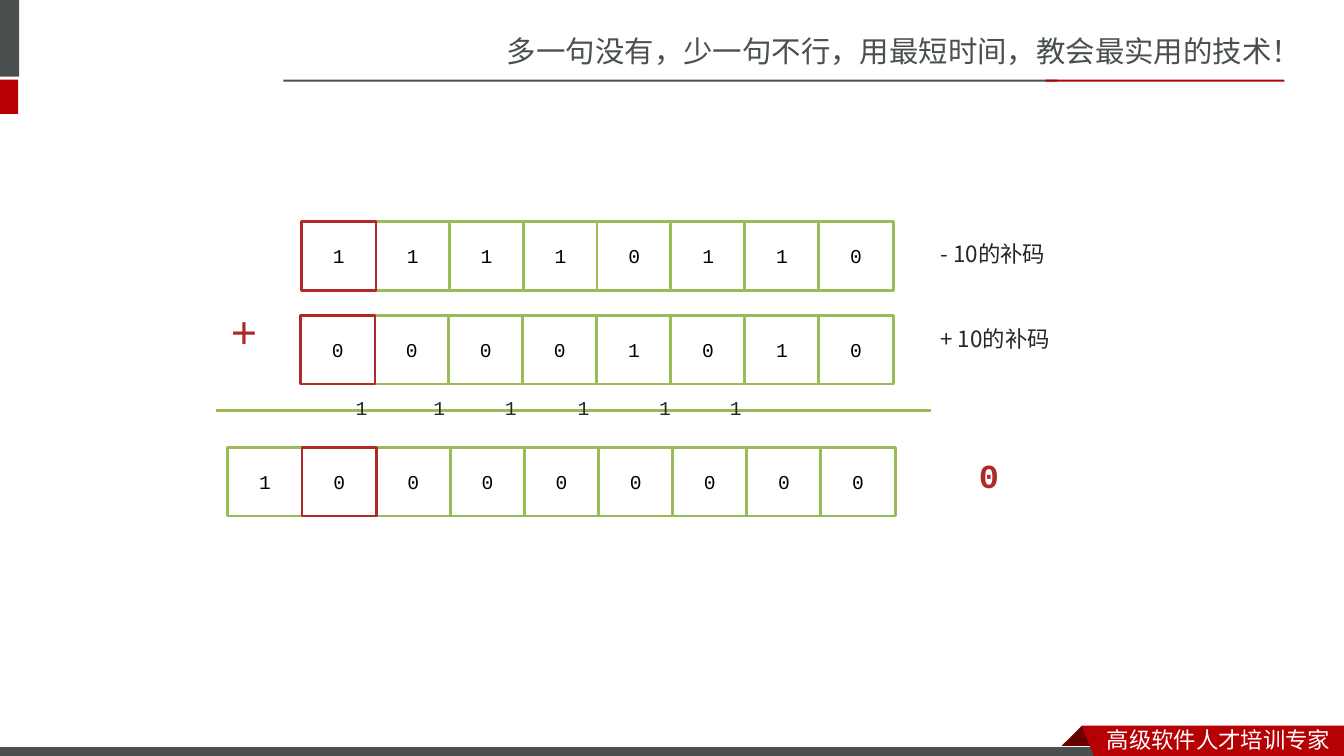
from lxml import etree
from pptx import Presentation
from pptx.dml.color import RGBColor
from pptx.enum.shapes import MSO_CONNECTOR, MSO_SHAPE
from pptx.enum.text import MSO_ANCHOR, PP_ALIGN
from pptx.oxml.ns import qn
from pptx.util import Inches, Pt

RECTANGLE = MSO_SHAPE.RECTANGLE
STRAIGHT = MSO_CONNECTOR.STRAIGHT
MIDDLE = MSO_ANCHOR.MIDDLE
CENTER = PP_ALIGN.CENTER

SLATE = RGBColor(0x49, 0x50, 0x4F)
CRIMSON = RGBColor(0xB6, 0x00, 0x04)
MAROON = RGBColor(0x68, 0x00, 0x00)
BRICK = RGBColor(0xAD, 0x2A, 0x26)
GREEN = RGBColor(0x9B, 0xBB, 0x59)
SUM_GREEN = RGBColor(0x98, 0xB9, 0x55)
INK = RGBColor(0x26, 0x26, 0x26)
BLACK = RGBColor(0x00, 0x00, 0x00)
WHITE = RGBColor(0xFF, 0xFF, 0xFF)

MONO = "Courier New"
SANS_SC = "Noto Sans CJK SC"
SANS_JP = "Noto Sans CJK JP"

SLOGAN = ("多一句没有，少一句不行，用最短时间，教会最实用的技术！",
          (4.93, 0.28, 8.41, 0.47), SANS_SC, 21, SLATE, False)
MOTTO = ("高级软件人才培训专家",
         (10.88, 7.15, 2.45, 0.37), SANS_SC, 16, WHITE, False)
LABELS = [
    ("- 10的补码", (9.23, 2.33, 2.67, 0.37), SANS_JP, 16, INK, False),
    ("+ 10的补码", (9.23, 3.18, 2.67, 0.37), SANS_JP, 16, INK, False),
    ("+", (2.19, 2.96, 0.62, 0.64), MONO, 32, BRICK, False),
    ("0", (9.61, 4.46, 0.53, 0.5), MONO, 24, BRICK, True),
]
HEADER_BARS = [
    ((-0.06, 0, 0.25, 0.76), SLATE),
    ((-0.06, 0.79, 0.24, 0.34), CRIMSON),
    ((2.81, 0.79, 7.68, 0.02), SLATE),
    ((10.37, 0.79, 2.37, 0.02), CRIMSON),
]
FOOTER_BAR = (-0.01, 7.41, 11, 0.12)
RIBBON_FOLD = [(10.73, 7.2), (10.95, 7.42), (10.94, 7.43), (10.52, 7.43), (10.51, 7.42)]
RIBBON = [(10.73, 7.2), (13.33, 7.2), (13.33, 7.54), (10.86, 7.53)]

BIT_ROWS = [
    {"bits": "11110110", "first": 2.99, "last": 8.12, "top": 2.2, "sign": 0},
    {"bits": "00001010", "first": 2.98, "last": 8.12, "top": 3.13, "sign": 0},
    {"bits": "100000000", "first": 2.26, "last": 8.14, "top": 4.44, "sign": 1},
]
CELL_WIDTH, CELL_HEIGHT = 0.74, 0.68
SUM_LINE = (2.14, 4.07, 9.23, 4.07)
CARRY_LEFTS = [3.43, 4.2, 4.91, 5.63, 6.44, 7.14]
CARRY_TOP = 3.88

deck = Presentation()
deck.slide_width, deck.slide_height = Inches(13.33), Inches(7.5)
slide = deck.slides.add_slide(deck.slide_layouts[6])


def inches(values):
    return [Inches(value) for value in values]


def paint(shape, fill, outline=None, weight=2):
    shape.shadow.inherit = False
    shape.fill.solid()
    shape.fill.fore_color.rgb = fill
    if outline is None:
        shape.line.fill.background()
    else:
        shape.line.color.rgb = outline
        shape.line.width = Pt(weight)


def write(frame, text, font, size, color, bold=False):
    frame.word_wrap = True
    run = frame.paragraphs[0].add_run()
    run.text = text
    for name, value in {"name": font, "size": Pt(size), "bold": bold}.items():
        setattr(run.font, name, value)
    run.font.color.rgb = color
    etree.SubElement(run.font._element, qn("a:ea")).set("typeface", font)


def add_label(text, box, *style):
    write(slide.shapes.add_textbox(*inches(box)).text_frame, text, *style)


def add_bar(box, fill, outline=None, weight=2):
    bar = slide.shapes.add_shape(RECTANGLE, *inches(box))
    paint(bar, fill, outline, weight)
    return bar


def add_outline(points, fill):
    corners = [inches(point) for point in points]
    builder = slide.shapes.build_freeform(*corners[0])
    builder.add_line_segments(corners[1:], close=True)
    paint(builder.convert_to_shape(), fill)


def add_bit(row, index):
    pitch = (row["last"] - row["first"]) / (len(row["bits"]) - 1)
    box = (row["first"] + index * pitch, row["top"], CELL_WIDTH, CELL_HEIGHT)
    cell = add_bar(box, WHITE, BRICK if index == row["sign"] else GREEN)
    cell.text_frame.vertical_anchor = MIDDLE
    write(cell.text_frame, row["bits"][index], MONO, 14, BLACK)
    cell.text_frame.paragraphs[0].alignment = CENTER


add_label(*SLOGAN)
for box, fill in HEADER_BARS:
    add_bar(box, fill)
add_outline(RIBBON_FOLD, MAROON)
add_bar(FOOTER_BAR, SLATE, WHITE, 0.75)
add_outline(RIBBON, CRIMSON)
add_label(*MOTTO)

for row in BIT_ROWS:
    for index in range(len(row["bits"])):
        if index != row["sign"]:
            add_bit(row, index)
    add_bit(row, row["sign"])

sum_line = slide.shapes.add_connector(STRAIGHT, *inches(SUM_LINE))
sum_line.line.color.rgb = SUM_GREEN
sum_line.line.width = Pt(2)
etree.SubElement(sum_line._element.spPr, qn("a:effectLst"))

for left in CARRY_LEFTS:
    add_label("1", (left, CARRY_TOP, 0.5, 0.34), MONO, 14, INK)
for label in LABELS:
    add_label(*label)

deck.save("out.pptx")
